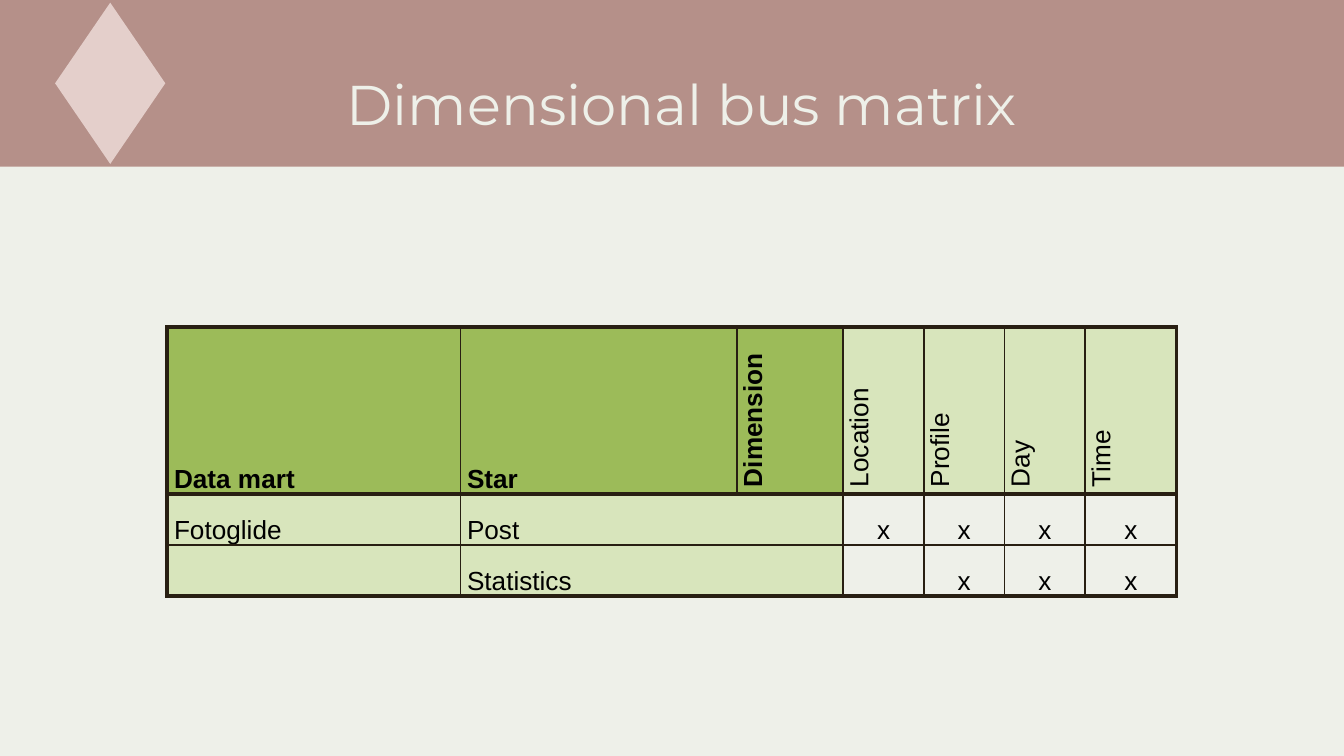
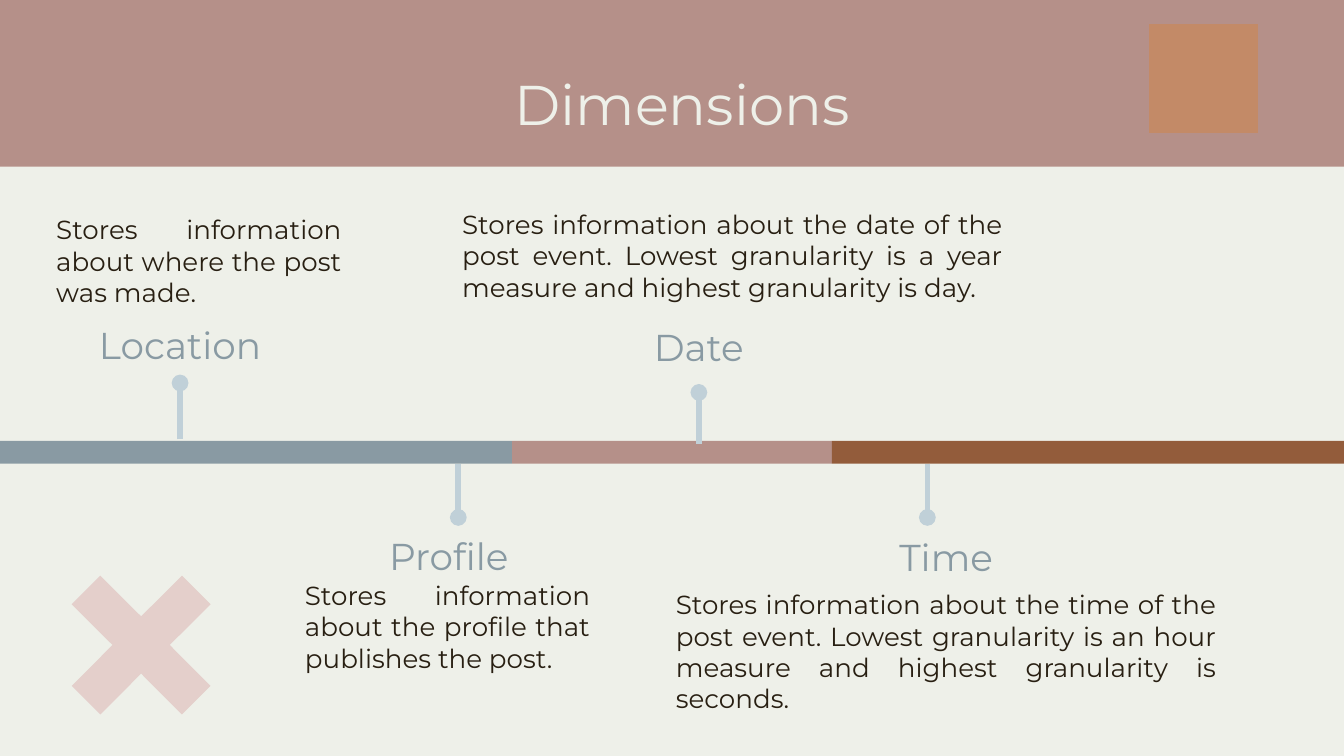
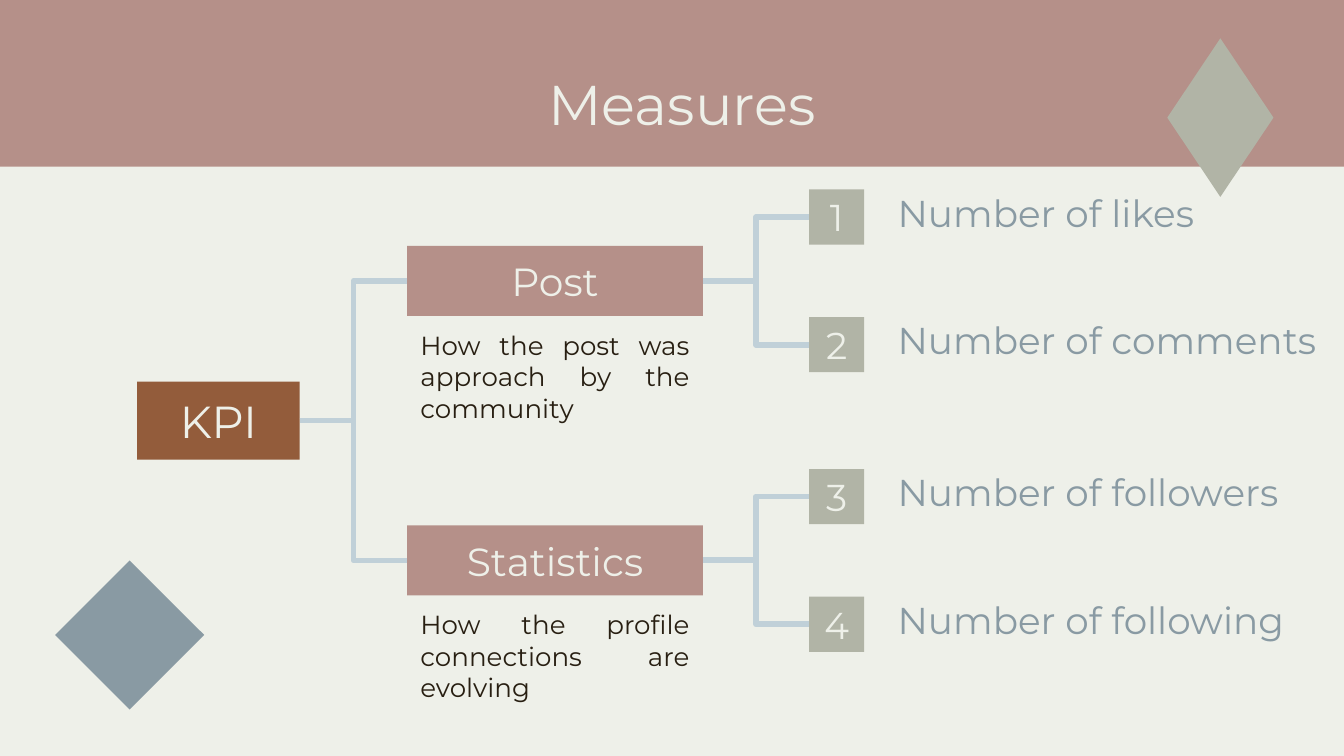
from collections import namedtuple

from lxml.etree import SubElement
from pptx import Presentation
from pptx.dml.color import RGBColor
from pptx.enum.shapes import MSO_CONNECTOR, MSO_SHAPE
from pptx.enum.text import MSO_ANCHOR, MSO_AUTO_SIZE, PP_ALIGN
from pptx.oxml.ns import qn
from pptx.util import Inches, Pt

ROSE = RGBColor(0xB5, 0x90, 0x89)
CREAM = RGBColor(0xEE, 0xF0, 0xE9)
BLUSH = RGBColor(0xE4, 0xCF, 0xCB)
SLATE = RGBColor(0x89, 0x9A, 0xA3)
MIST = RGBColor(0xC0, 0xD0, 0xD8)
BROWN = RGBColor(0x93, 0x5C, 0x3B)
AMBER = RGBColor(0xC3, 0x8A, 0x67)
SAGE = RGBColor(0xB1, 0xB4, 0xA6)
INK = RGBColor(0x28, 0x1F, 0x12)
BLACK = RGBColor(0, 0, 0)
GREEN = RGBColor(0x9C, 0xBB, 0x59)
PALE = RGBColor(0xD8, 0xE5, 0xBC)

# The slide is a grid of 100 columns by 56.25 rows of square cells.
Box = namedtuple("Box", "x y w h")
COLS, ROWS = 100, 56.25
BAND = 12.4
BODY = Box(0, BAND, COLS, ROWS - BAND)

HEAD = {"size": Pt(30), "color": CREAM}
LABEL = {"size": Pt(20), "color": SLATE}
NOTE = {"size": Pt(14), "color": INK}
CELL = {"size": Pt(14), "color": BLACK, "name": "Arial"}


def grid(cells):
    return Inches(cells / 10)


def place(box):
    return [grid(side) for side in box]


def write(frame, text, style, align=PP_ALIGN.CENTER, anchor=MSO_ANCHOR.MIDDLE):
    form = {"word_wrap": True, "auto_size": MSO_AUTO_SIZE.NONE,
            "vertical_anchor": anchor}
    form.update({f"margin_{side}": grid(1)
                 for side in ("left", "top", "right", "bottom")})
    for key, value in form.items():
        setattr(frame, key, value)
    fill_line(frame.paragraphs[0], text, style, align)


def fill_line(line, text, style, align):
    line.alignment = align
    run = line.add_run()
    run.text = text
    for key, value in {"name": "Montserrat", **style}.items():
        if key == "color":
            run.font.color.rgb = value
        else:
            setattr(run.font, key, value)


def add_text(slide, box, text, style, align=PP_ALIGN.CENTER, anchor=MSO_ANCHOR.TOP):
    frame = slide.shapes.add_textbox(*place(box)).text_frame
    write(frame, text, style, align, anchor)


def add_block(slide, kind, box, color, turn=0):
    block = slide.shapes.add_shape(kind, *place(box))
    block.fill.solid()
    block.fill.fore_color.rgb = color
    block.line.fill.background()
    block.shadow.inherit = False
    block.rotation = turn
    return block


def add_card(slide, box, color, text, size):
    card = add_block(slide, MSO_SHAPE.RECTANGLE, box, color)
    write(card.text_frame, text, {"size": Pt(size), "color": CREAM})
    return card


def add_line(slide, kind, *ends):
    line = slide.shapes.add_connector(kind, *[grid(end) for end in ends])
    line.line.color.rgb = MIST
    line.line.width = Pt(3)
    SubElement(line.element.spPr, qn("a:effectLst"))
    return line


def set_theme(deck):
    """Set the slide size and backdrop, and return the layout to build on."""
    deck.slide_width, deck.slide_height = grid(COLS), grid(ROWS)
    fill = deck.slide_master.background.fill
    fill.solid()
    fill.fore_color.rgb = ROSE
    return deck.slide_layouts[5]


def add_slide(deck, layout, title):
    """Add a titled slide; the first one also gives the layout its lower panel."""
    slide = deck.slides.add_slide(layout)
    head = slide.shapes.title
    head.left, head.top, head.width, head.height = place(Box(8.2, 5.1, 85.1, 5.2))
    write(head.text_frame, title, HEAD)
    if len(deck.slides) == 1:
        panel = add_block(slide, MSO_SHAPE.RECTANGLE, BODY, CREAM)
        layout.shapes.element.insert(2, panel.element)
    return slide


MATRIX = [
    ["Data mart", "Star", "Dimension", "Location", "Profile", "Day", "Time"],
    ["Fotoglide", "Post", "", "x", "x", "x", "x"],
    ["", "Statistics", "", "", "x", "x", "x"],
]
WIDTHS = [21.8, 20.6, 7.9, 6, 6, 6, 6.8]
HEIGHTS = [12.4, 3.8, 3.8]
KEYS = 3  # columns that name the rows


def edge_cell(props, row, col):
    """Rule a cell: heavy round the table and under its header, thin inside."""
    heavy = {"L": col == 0, "R": col == len(WIDTHS) - 1,
             "T": row < 2, "B": row in (0, len(HEIGHTS) - 1)}
    for side, bold in heavy.items():
        edge = SubElement(props, qn(f"a:ln{side}"), w=str(Pt(2.25 if bold else 1)))
        paint = SubElement(edge, qn("a:solidFill"))
        SubElement(paint, qn("a:srgbClr"), val=str(INK))


def style_cell(cell, props, row, col):
    upright = row == 0 and col >= KEYS - 1
    mark = row > 0 and col >= KEYS
    form = {"margin_left": grid(0.1 if mark else 0.5), "margin_right": grid(0.1),
            "margin_top": grid(0.1), "margin_bottom": grid(0.4 if upright else 0),
            "vertical_anchor": MSO_ANCHOR.BOTTOM}
    if row == 0 and col >= KEYS:
        form["vertical_anchor"] = MSO_ANCHOR.MIDDLE
    for key, value in form.items():
        setattr(cell, key, value)
    if upright:
        props.set("vert", "vert270")
    edge_cell(props, row, col)
    if mark:
        cell.fill.background()
    else:
        cell.fill.solid()
        cell.fill.fore_color.rgb = GREEN if col < KEYS and row == 0 else PALE
    text = MATRIX[row][col]
    if text:
        align = PP_ALIGN.CENTER if mark else PP_ALIGN.LEFT
        bold = row == 0 and col < KEYS
        fill_line(cell.text_frame.paragraphs[0], text, {**CELL, "bold": bold}, align)


def draw_matrix(slide, box):
    spot = Box(box.x + 12.45, box.y + 11.95, sum(WIDTHS), sum(HEIGHTS))
    frame = slide.shapes.add_table(len(HEIGHTS), len(WIDTHS), *place(spot))
    table = frame.table
    table.first_row = table.horz_banding = False
    for col, width in zip(table.columns, WIDTHS):
        col.width = grid(width)
    for row, height in zip(table.rows, HEIGHTS):
        row.height = grid(height)
    pairs = zip(table.iter_cells(), frame.element.iter(qn("a:tc")))
    for index, (cell, node) in enumerate(pairs):
        style_cell(cell, node.get_or_add_tcPr(), *divmod(index, len(WIDTHS)))
    for row in (1, 2):
        table.cell(row, 1).merge(table.cell(row, 2))


# Name, label middle, label top, stem column, stem start and end, note box, note.
# Rows count from the top of the bar.
Stop = namedtuple("Stop", "name mid top stem start end spot note")
STOPS = [
    Stop("Location", 13.4, -9.8, 13.4, -0.1, -4.3, Box(3.2, -17.9, 23.2, 9.1),
         "Stores information about where the post was made."),
    Stop("Profile", 33.4, 5.5, 34.1, 1.7, 5.7, Box(21.7, 9.3, 23.2, 9.1),
         "Stores information about the profile that publishes the post."),
    Stop("Date", 52, -9.7, 52, 0.2, -3.6, Box(33.4, -18.3, 42.2, 9.1),
         "Stores information about the date of the post event. Lowest granularity "
         "is a year measure and highest granularity is day."),
    Stop("Time", 70.4, 5.6, 69, 1.7, 5.7, Box(49.3, 10, 42.2, 9.1),
         "Stores information about the time of the post event. Lowest granularity "
         "is an hour measure and highest granularity is seconds."),
]
PARTS = [(38.1, SLATE), (23.8, ROSE), (38.1, BROWN)]


def draw_stop(slide, stop, left, base):
    stem = add_line(slide, MSO_CONNECTOR.STRAIGHT, left + stop.stem, base + stop.start,
                    left + stop.stem, base + stop.end)
    SubElement(stem.element.spPr.find(qn("a:ln")), qn("a:tailEnd"), type="oval")
    anchor = MSO_ANCHOR.TOP if stop.top < 0 else MSO_ANCHOR.BOTTOM
    add_text(slide, Box(left + stop.mid - 13, base + stop.top, 26, 5.7),
             stop.name, LABEL, anchor=anchor)
    x, y, w, h = stop.spot
    add_text(slide, Box(left + x, base + y, w, h), stop.note, NOTE, PP_ALIGN.JUSTIFY)


def draw_timeline(slide, box):
    base, left = box.y + 20.4, box.x
    for width, color in PARTS:
        add_block(slide, MSO_SHAPE.RECTANGLE, Box(left, base, width, 1.7), color)
        left += width
    for stop in STOPS:
        draw_stop(slide, stop, box.x, base)
    cross = add_block(slide, MSO_SHAPE.CROSS,
                      Box(box.x + 4.7, box.y + 29.8, 11.6, 11.6), BLUSH, 45)
    cross.adjustments[0] = 0.37


TREE = [
    ("Post", "How the post was approach by the community",
     ["Number of likes", "Number of comments"]),
    ("Statistics", "How the profile connections are evolving",
     ["Number of followers", "Number of following"]),
]
RIGHT, LEFT = 3, 1  # connection sites of a rectangle


def join(slide, start, end):
    line = add_line(slide, MSO_CONNECTOR.ELBOW, 0, 0, 0, 0)
    line.begin_connect(start, RIGHT)
    line.end_connect(end, LEFT)


def draw_branch(slide, root, box, data, first):
    """Place a branch card in its box, with its note below and leaves at its right."""
    name, note, leaves = data
    card = add_card(slide, box, ROSE, name, 21)
    join(slide, root, card)
    add_text(slide, Box(box.x, box.y + box.h, box.w, 6), note, NOTE, PP_ALIGN.JUSTIFY)
    mid = box.y + box.h / 2
    for index, text in enumerate(leaves):
        y = mid + (index - 0.5) * 9.5
        x = box.x + box.w + 7.9
        leaf = add_card(slide, Box(x, y - 2.05, 4.1, 4.1), SAGE, str(first + index), 20)
        join(slide, card, leaf)
        add_text(slide, Box(x + 5.6, y - 2.9, 33.5, 5.2), text, LABEL,
                 PP_ALIGN.LEFT, MSO_ANCHOR.BOTTOM)


def draw_tree(slide, box):
    mid = box.y + 18.9
    root = add_card(slide, Box(box.x + 10.2, mid - 2.9, 12.1, 5.8), BROWN, "KPI", 24)
    for index, data in enumerate(TREE):
        y = mid + (index - 0.5) * 20.8 - 2.6
        draw_branch(slide, root, Box(box.x + 30.3, y, 22, 5.2), data, 1 + 2 * index)
    add_block(slide, MSO_SHAPE.DIAMOND,
              Box(box.x + 4.1, box.y + 29.3, 11.1, 11.1), SLATE)


PAGES = [
    ("Dimensional bus matrix", draw_matrix,
     (MSO_SHAPE.FLOWCHART_DECISION, Box(2.2, 2.1, 12, 8.2), BLUSH, 90)),
    ("Dimensions", draw_timeline,
     (MSO_SHAPE.RECTANGLE, Box(85.5, 1.8, 8.1, 8.1), AMBER)),
    ("Measures", draw_tree,
     (MSO_SHAPE.FLOWCHART_DECISION, Box(84.9, 4.8, 11.8, 7.9), SAGE, 270)),
]


def main():
    deck = Presentation()
    layout = set_theme(deck)
    for title, draw, badge in PAGES:
        slide = add_slide(deck, layout, title)
        draw(slide, BODY)
        add_block(slide, *badge)
    deck.save("out.pptx")


if __name__ == "__main__":
    main()
